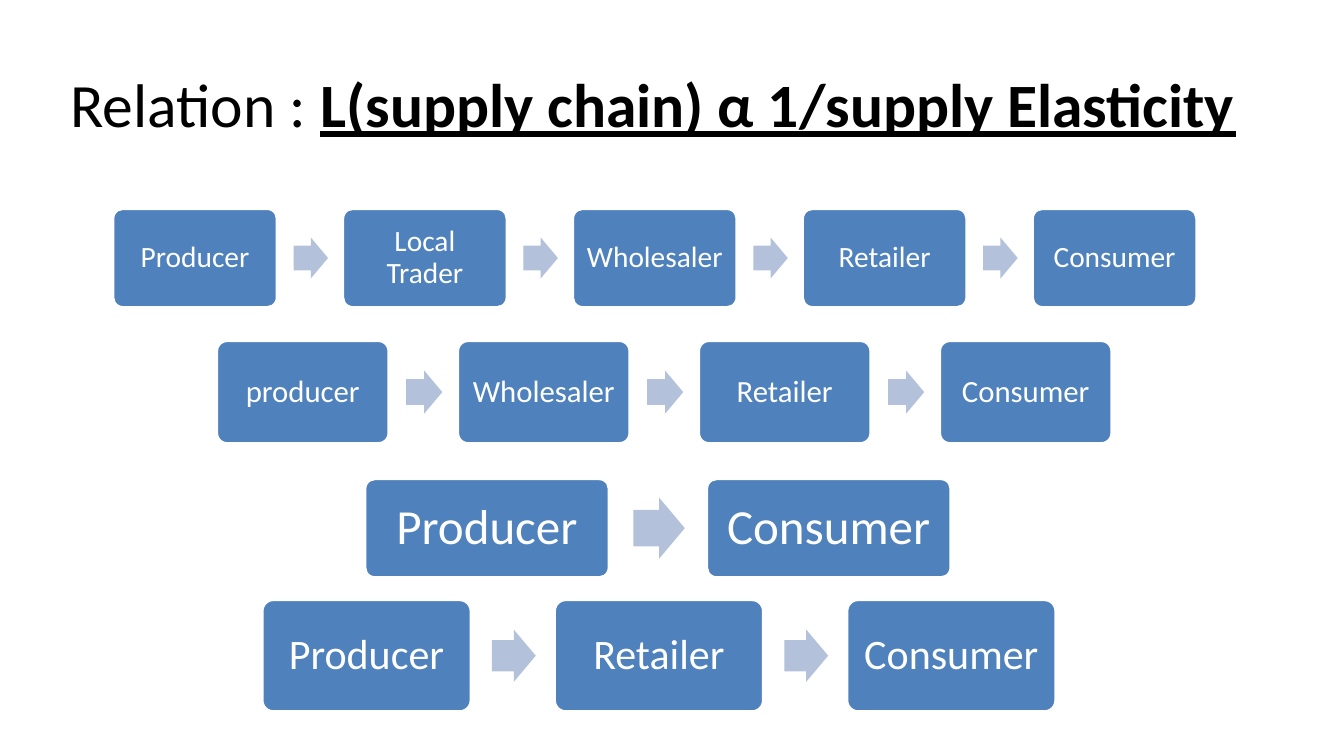
from dataclasses import dataclass

from pptx import Presentation
from pptx.dml.color import RGBColor
from pptx.enum.shapes import MSO_SHAPE
from pptx.enum.text import MSO_ANCHOR, MSO_AUTO_SIZE, PP_ALIGN
from pptx.util import Inches, Pt

ROUNDED_BOX = MSO_SHAPE.ROUNDED_RECTANGLE
RIGHT_ARROW = MSO_SHAPE.RIGHT_ARROW
MIDDLE = MSO_ANCHOR.MIDDLE
NO_AUTOFIT = MSO_AUTO_SIZE.NONE
CENTER = PP_ALIGN.CENTER
TITLE_ONLY_LAYOUT = 5

# Proportions shared by every chain, relative to the width of one box
PITCH_RATIO = 1.4
ARROW_OFFSET_RATIO = 1.1
ARROW_WIDTH_RATIO = 0.21
ARROW_HEIGHT_RATIO = 0.25


@dataclass(frozen=True)
class Theme:
    font: str = "Calibri"
    title_size: int = 44
    title_color: RGBColor = RGBColor(0x00, 0x00, 0x00)
    box_fill: RGBColor = RGBColor(0x4F, 0x81, 0xBD)
    box_text: RGBColor = RGBColor(0xFF, 0xFF, 0xFF)
    box_line: RGBColor = RGBColor(0xFF, 0xFF, 0xFF)
    box_line_width: int = 2
    arrow_fill: RGBColor = RGBColor(0xB3, 0xC1, 0xDB)


@dataclass(frozen=True)
class SupplyChain:
    """One row of linked boxes; lengths are in inches."""
    stages: tuple[str, ...]
    left: float
    top: float
    pitch: float
    height: float
    text_size: int
    inset: float


THEME = Theme()

CHAINS = (
    SupplyChain(("Producer", "Local Trader", "Wholesaler", "Retailer", "Consumer"),
                1.12, 2.07, 2.28, 0.98, 21, 0.09),
    SupplyChain(("producer", "Wholesaler", "Retailer", "Consumer"),
                2.15, 3.38, 2.39, 1.02, 22, 0.09),
    SupplyChain(("Producer", "Consumer"), 3.62, 4.75, 3.39, 0.98, 35, 0.15),
    SupplyChain(("Producer", "Retailer", "Consumer"), 2.6, 5.95, 2.9, 1.11, 30, 0.12),
)


def add_title(slide) -> None:
    title = slide.shapes.title
    title.left, title.top = Inches(0.48), Inches(0.4)
    title.width, title.height = Inches(12), Inches(1.25)
    frame = title.text_frame
    frame.auto_size = NO_AUTOFIT
    frame.vertical_anchor = MIDDLE
    paragraph = frame.paragraphs[0]
    paragraph.alignment = CENTER
    for text, emphasized in (("Relation : ", False),
                             ("L(supply chain) α 1/supply Elasticity", True)):
        run = paragraph.add_run()
        run.text = text
        run.font.name = THEME.font
        run.font.size = Pt(THEME.title_size)
        run.font.color.rgb = THEME.title_color
        run.font.bold = run.font.underline = emphasized


def add_stage(slide, chain: SupplyChain, text: str, left: float, width: float) -> None:
    box = slide.shapes.add_shape(ROUNDED_BOX, Inches(left), Inches(chain.top),
                                 Inches(width), Inches(chain.height))
    box.adjustments[0] = 0.1
    box.shadow.inherit = False
    box.fill.solid()
    box.fill.fore_color.rgb = THEME.box_fill
    box.line.color.rgb = THEME.box_line
    box.line.width = Pt(THEME.box_line_width)

    frame = box.text_frame
    frame.text = text
    frame.word_wrap = True
    frame.vertical_anchor = MIDDLE
    frame.margin_left = frame.margin_right = Inches(chain.inset)
    frame.margin_top = frame.margin_bottom = Inches(chain.inset)
    paragraph = frame.paragraphs[0]
    paragraph.alignment = CENTER
    paragraph.line_spacing = 0.9
    font = paragraph.runs[0].font
    font.name = THEME.font
    font.size = Pt(chain.text_size)
    font.color.rgb = THEME.box_text


def add_arrow(slide, chain: SupplyChain, box_left: float, box_width: float) -> None:
    """Place an arrow after a box, centred on the height of its chain."""
    height = box_width * ARROW_HEIGHT_RATIO
    arrow = slide.shapes.add_shape(
        RIGHT_ARROW,
        Inches(box_left + box_width * ARROW_OFFSET_RATIO),
        Inches(chain.top + (chain.height - height) / 2),
        Inches(box_width * ARROW_WIDTH_RATIO), Inches(height))
    arrow.adjustments[0] = 0.6
    arrow.adjustments[1] = 0.5
    arrow.shadow.inherit = False
    arrow.fill.solid()
    arrow.fill.fore_color.rgb = THEME.arrow_fill
    arrow.line.fill.background()


def add_chain(slide, chain: SupplyChain) -> None:
    width = chain.pitch / PITCH_RATIO
    for index, stage in enumerate(chain.stages):
        left = chain.left + index * chain.pitch
        add_stage(slide, chain, stage, left, width)
        if index < len(chain.stages) - 1:
            add_arrow(slide, chain, left, width)


def main() -> None:
    presentation = Presentation()
    presentation.slide_width = Inches(13.33)
    presentation.slide_height = Inches(7.5)
    slide = presentation.slides.add_slide(presentation.slide_layouts[TITLE_ONLY_LAYOUT])
    add_title(slide)
    for chain in CHAINS:
        add_chain(slide, chain)
    presentation.save("out.pptx")


if __name__ == "__main__":
    main()
